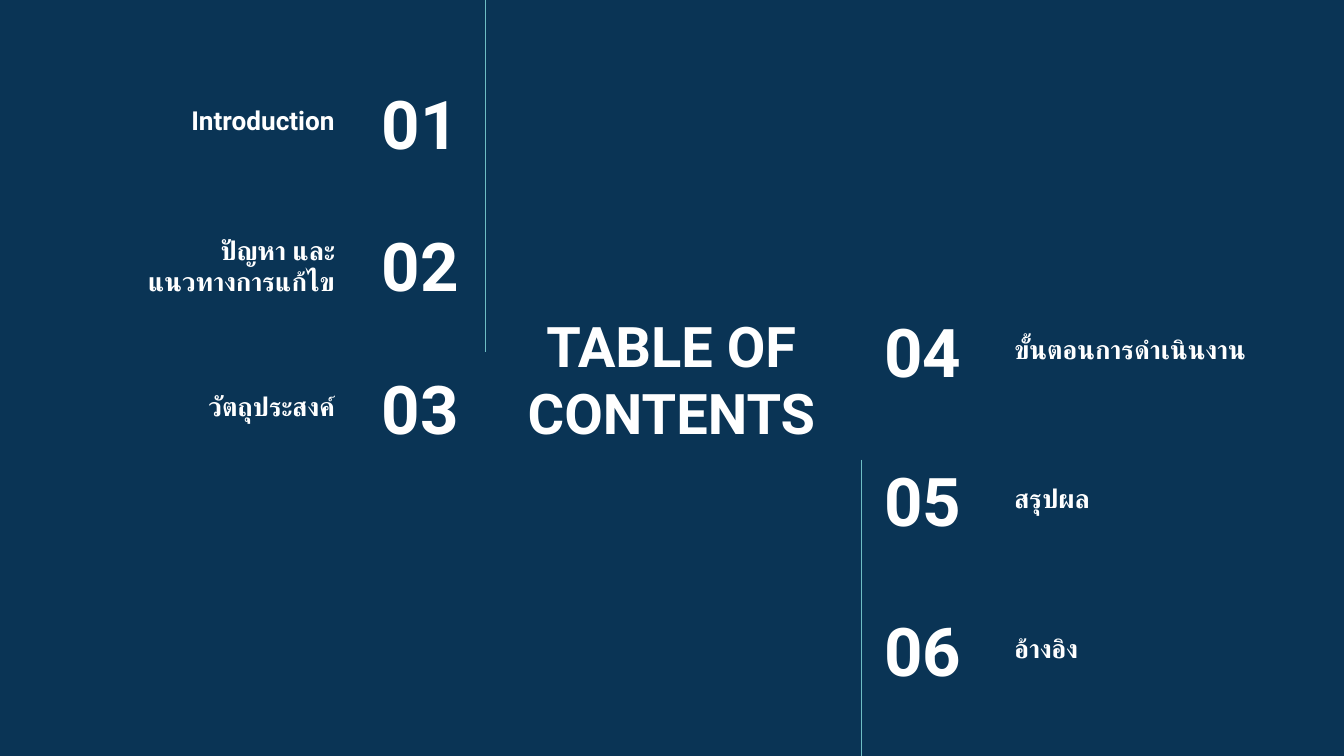
from dataclasses import dataclass

from lxml.etree import SubElement
from pptx import Presentation
from pptx.dml.color import RGBColor
from pptx.enum.shapes import MSO_CONNECTOR
from pptx.enum.text import MSO_ANCHOR, MSO_AUTO_SIZE, PP_ALIGN
from pptx.oxml.ns import qn
from pptx.shapes.autoshape import Shape
from pptx.slide import Slide
from pptx.util import Cm, Pt


@dataclass(frozen=True)
class Theme:
    font: str = "Roboto"
    background: RGBColor = RGBColor(0x0A, 0x34, 0x55)
    text: RGBColor = RGBColor(0xFF, 0xFF, 0xFF)
    rule: RGBColor = RGBColor(0x6E, 0xBD, 0xC4)
    title_size: int = 30
    number_size: int = 36
    label_size: int = 14
    rule_width: float = 0.75


@dataclass(frozen=True)
class Area:
    """A rectangle in centimetres."""
    left: float
    top: float
    width: float
    height: float


@dataclass(frozen=True)
class Entry:
    """A contents line; label_base is the label's bottom below the number's top."""
    label: str
    label_height: float = 1.0
    label_base: float = 1.32


@dataclass(frozen=True)
class Column:
    first_number: int
    top: float
    step: float
    number_left: float
    label_left: float
    align: PP_ALIGN
    entries: tuple[Entry, ...]


@dataclass(frozen=True)
class Rule:
    x: float
    top: float
    bottom: float


THEME = Theme()
PAGE_WIDTH, PAGE_HEIGHT = 25.4, 14.29
NUMBER_WIDTH, NUMBER_HEIGHT = 3.05, 1.6
LABEL_WIDTH = 5.49
TITLE_AREA = Area(9.4, 5.84, 6.58, 2.62)

COLUMNS = (
    Column(1, 1.52, 2.69, 5.87, 1.09, PP_ALIGN.RIGHT, (
        Entry("Introduction", 1.6, 1.3),
        Entry("ปัญหา และ\vแนวทางการแก้ไข", 1.6, 1.65),
        Entry("วัตถุประสงค์"),
    )),
    Column(4, 5.82, 2.83, 16.46, 18.92, PP_ALIGN.LEFT, (
        Entry("ขั้นตอนการดำเนินงาน"),
        Entry("สรุปผล"),
        Entry("อ้างอิง"),
    )),
)
RULES = (Rule(9.17, 0, 6.65), Rule(16.28, 8.69, PAGE_HEIGHT))


def write(box: Shape, text: str, size: int, align: PP_ALIGN, anchor: MSO_ANCHOR) -> None:
    frame = box.text_frame
    frame.text = text
    margin = Cm(0.25)
    frame_format = {
        "word_wrap": True, "auto_size": MSO_AUTO_SIZE.NONE, "vertical_anchor": anchor,
        "margin_left": margin, "margin_right": margin,
        "margin_top": margin, "margin_bottom": margin,
    }
    for name, value in frame_format.items():
        setattr(frame, name, value)
    paragraph = frame.paragraphs[0]
    paragraph.alignment = align
    for span in paragraph.runs:
        for name, value in {"name": THEME.font, "size": Pt(size), "bold": True}.items():
            setattr(span.font, name, value)
        span.font.color.rgb = THEME.text
        # Thai script takes its typeface from the complex-script entry.
        SubElement(span.font._element, qn("a:cs"), typeface=THEME.font)


def place_title(page: Slide) -> None:
    title = page.shapes.title
    for name in ("left", "top", "width", "height"):
        setattr(title, name, Cm(getattr(TITLE_AREA, name)))
    write(title, "TABLE OF CONTENTS", THEME.title_size, PP_ALIGN.CENTER, MSO_ANCHOR.MIDDLE)


def add_text(page: Slide, area: Area, text: str, size: int,
             align: PP_ALIGN, anchor: MSO_ANCHOR) -> None:
    box = page.shapes.add_textbox(Cm(area.left), Cm(area.top), Cm(area.width), Cm(area.height))
    write(box, text, size, align, anchor)


def add_column(page: Slide, column: Column) -> None:
    for index, entry in enumerate(column.entries):
        top = column.top + index * column.step
        number_area = Area(column.number_left, top, NUMBER_WIDTH, NUMBER_HEIGHT)
        label_top = top + entry.label_base - entry.label_height
        label_area = Area(column.label_left, label_top, LABEL_WIDTH, entry.label_height)
        add_text(page, number_area, f"{column.first_number + index:02}",
                 THEME.number_size, column.align, MSO_ANCHOR.MIDDLE)
        add_text(page, label_area, entry.label,
                 THEME.label_size, column.align, MSO_ANCHOR.BOTTOM)


def add_rule(page: Slide, rule: Rule) -> None:
    line = page.shapes.add_connector(
        MSO_CONNECTOR.STRAIGHT, Cm(rule.x), Cm(rule.top), Cm(rule.x), Cm(rule.bottom))
    line.line.color.rgb = THEME.rule
    line.line.width = Pt(THEME.rule_width)
    SubElement(line._element.spPr, qn("a:effectLst"))


def main() -> None:
    deck = Presentation()
    deck.slide_width, deck.slide_height = Cm(PAGE_WIDTH), Cm(PAGE_HEIGHT)
    page = deck.slides.add_slide(deck.slide_layouts.get_by_name("Title Only"))
    page.background.fill.solid()
    page.background.fill.fore_color.rgb = THEME.background
    place_title(page)
    for column in COLUMNS:
        add_column(page, column)
    for rule in RULES:
        add_rule(page, rule)
    deck.save("out.pptx")


if __name__ == "__main__":
    main()
